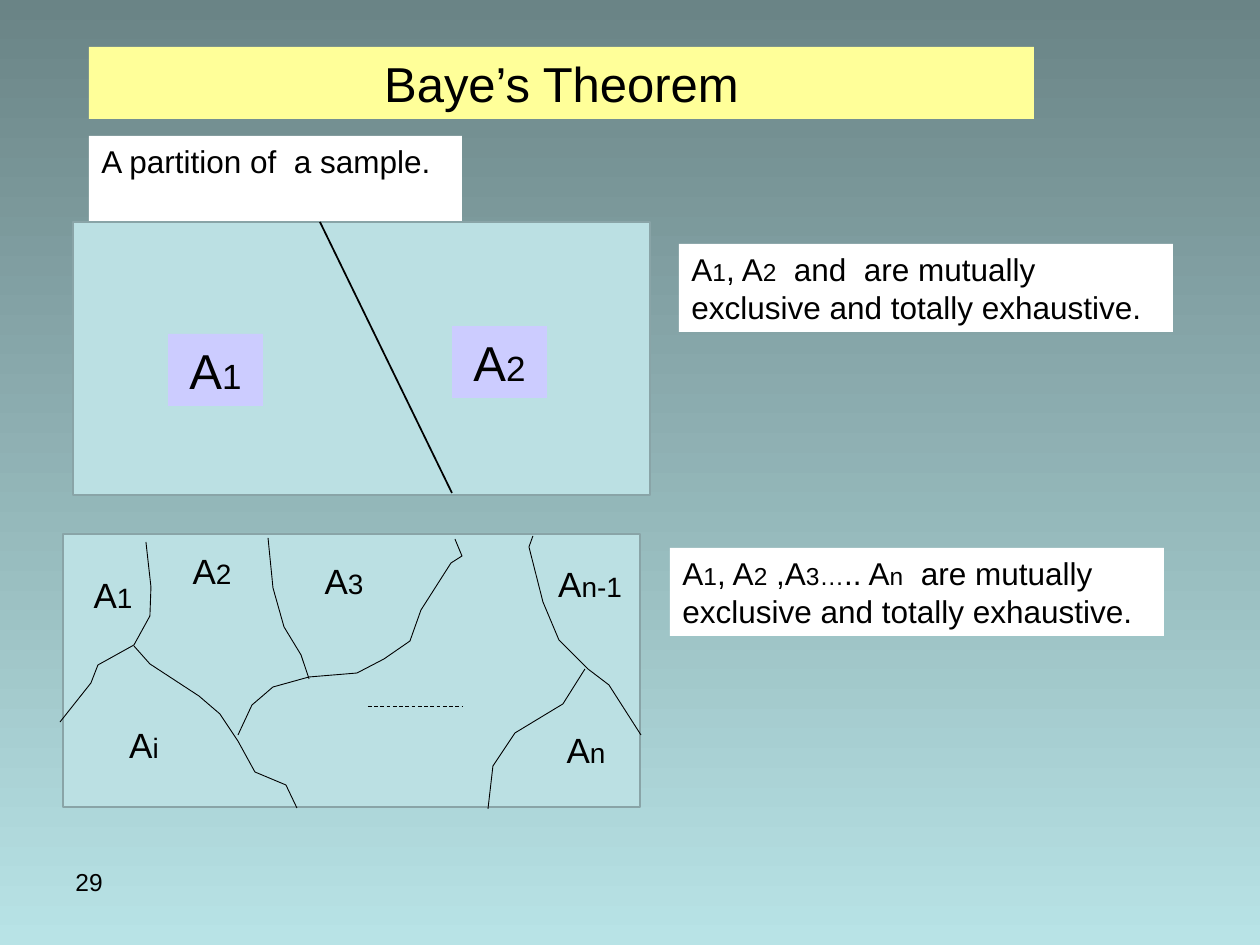
from lxml import etree
from pptx import Presentation
from pptx import util as u
from pptx.dml.color import RGBColor
from pptx.enum import dml, shapes, text
from pptx.oxml.ns import qn

PX = 914400 / 126  # EMU per px

BLACK = RGBColor(0x00, 0x00, 0x00)
WHITE = RGBColor(0xFF, 0xFF, 0xFF)
YELLOW = RGBColor(0xFF, 0xFF, 0x99)
LILAC = RGBColor(0xCC, 0xCC, 0xFF)
PANEL = RGBColor(0xBB, 0xE0, 0xE3)
PANEL_EDGE = RGBColor(0x89, 0xA4, 0xA7)
BG_TOP = RGBColor(0x6A, 0x84, 0x86)
BG_BOTTOM = RGBColor(0xB8, 0xE3, 0xE6)

PANEL_SIZE = (577, 273)
NOTE_SIZE = (494, 88)
LABEL_SIZE = (94, 55)
BADGE_SIZE = (95, 72)

# Borders between the sets of the n-part partition, as px points
BORDERS = [
    # around A1
    [(146, 542), (151, 587), (150, 616), (134, 645), (98, 665), (91, 683),
     (60, 722)],
    # right of Ai
    [(134, 646), (150, 664), (199, 696), (220, 714), (238, 741), (255, 772),
     (286, 785), (297, 808)],
    # below and right of A3
    [(238, 735), (252, 705), (273, 687), (309, 677), (357, 673), (384, 659),
     (410, 641), (421, 610), (451, 563), (462, 556), (455, 539)],
    # between A2 and A3
    [(268, 538), (273, 588), (284, 627), (301, 655), (309, 679)],
    # left of An-1
    [(533, 536), (529, 547), (543, 602), (559, 640), (588, 669), (609, 685),
     (641, 735)],
    # left of An
    [(488, 809), (493, 766), (515, 733), (563, 704), (585, 669)],
]

# Left, top and subscript of each set name
LABELS = [(66, 567, "1"), (165, 543, "2"), (297, 553, "3"),
          (97, 717, "i"), (543, 556, "n-1"), (539, 722, "n")]


def emu(*lengths):
    return [u.Emu(round(n * PX)) for n in lengths]


def add_text(slide, box, runs, size, small=None, fill=None, center=False):
    """Add a text box whose runs alternate between size and small."""
    sp = slide.shapes.add_textbox(*emu(*box))
    if fill is not None:
        sp.fill.solid()
        sp.fill.fore_color.rgb = fill
    tf = sp.text_frame
    tf.word_wrap = True
    tf.vertical_anchor = text.MSO_ANCHOR.TOP
    p = tf.paragraphs[0]
    p.alignment = text.PP_ALIGN.CENTER if center else text.PP_ALIGN.LEFT
    for i, part in enumerate(runs):
        r = p.add_run()
        r.text = part
        r.font.name = "Arial"
        r.font.size = u.Pt(small if i % 2 else size)
        r.font.color.rgb = BLACK


def add_panel(slide, left, top):
    sp = slide.shapes.add_shape(shapes.MSO_SHAPE.RECTANGLE,
                                *emu(left, top, *PANEL_SIZE))
    sp.shadow.inherit = False
    sp.fill.solid()
    sp.fill.fore_color.rgb = PANEL
    sp.line.color.rgb = PANEL_EDGE
    sp.line.width = u.Pt(1)


def add_line(slide, start, end, width, dash=None):
    cx = slide.shapes.add_connector(shapes.MSO_CONNECTOR.STRAIGHT,
                                    *emu(*start, *end))
    cx.line.color.rgb = BLACK
    cx.line.width = u.Pt(width)
    if dash:
        cx.line.dash_style = dash
    etree.SubElement(cx._element.spPr, qn("a:effectLst"))


def add_border(slide, points):
    fb = slide.shapes.build_freeform(*points[0], scale=PX)
    fb.add_line_segments(points[1:], close=False)
    sp = fb.convert_to_shape()
    sp.shadow.inherit = False
    sp.fill.background()
    sp.line.color.rgb = BLACK
    sp.line.width = u.Pt(0.5)


def set_background(slide):
    fill = slide.background.fill
    fill.gradient()
    fill.gradient_angle = 270
    for stop, color in zip(fill.gradient_stops, (BG_TOP, BG_BOTTOM)):
        stop.color.rgb = color


def main():
    prs = Presentation()
    prs.slide_width, prs.slide_height = emu(1260, 945)
    s = prs.slides.add_slide(prs.slide_layouts[6])
    set_background(s)

    # Slide number, subtitle and title
    add_text(s, (63, 861, 294, 66), ["29"], 14)
    add_text(s, (89, 136, 373, 88), ["A partition of  a sample."], 18, fill=WHITE)
    add_text(s, (89, 47, 945, 72), ["Baye’s Theorem"], 28, fill=YELLOW, center=True)

    # Partition into two sets
    add_panel(s, 73, 222)
    add_line(s, (320, 222), (452, 493), 1)
    for left, top, sub in [(168, 334, "1"), (452, 326, "2")]:
        add_text(s, (left, top, *BADGE_SIZE), ["A", sub], 28, 20,
                 fill=LILAC, center=True)
    add_text(s, (679, 244, *NOTE_SIZE),
             ["A", "1", ", A", "2",
              "  and  are mutually exclusive and totally exhaustive."],
             18, 14, fill=WHITE)

    # Partition into n sets
    add_panel(s, 63, 534)
    for points in BORDERS:
        add_border(s, points)
    add_line(s, (368, 706), (462, 706), 0.5, dml.MSO_LINE.DASH)
    for left, top, sub in LABELS:
        add_text(s, (left, top, *LABEL_SIZE), ["A", sub], 20, 16, center=True)
    add_text(s, (670, 548, *NOTE_SIZE),
             ["A", "1", ", A", "2", " ,A", "3…", ".. A", "n",
              "  are mutually exclusive and totally exhaustive."],
             18, 14, fill=WHITE)

    prs.save("out.pptx")


if __name__ == "__main__":
    main()
